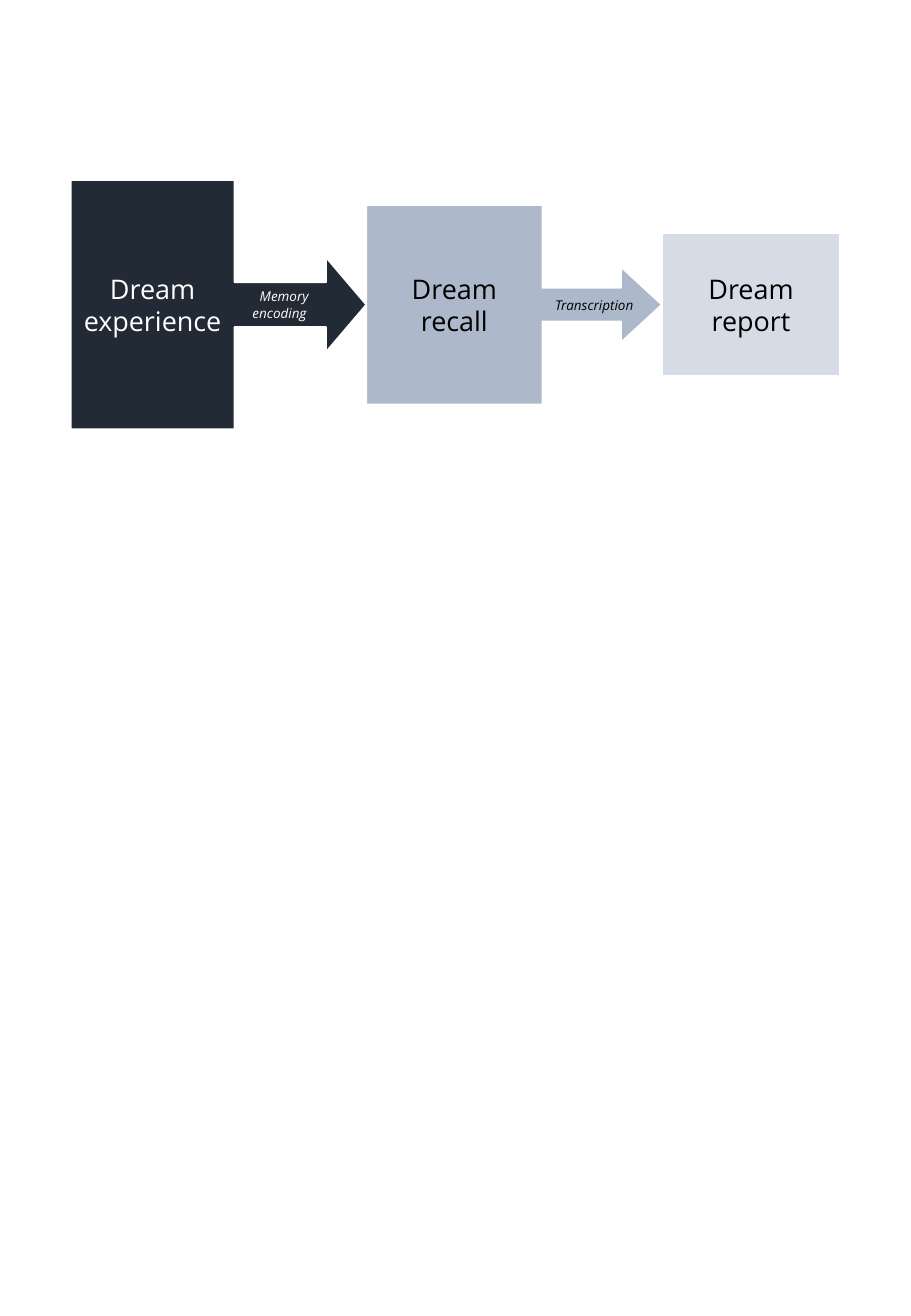
from dataclasses import dataclass

from pptx import Presentation
from pptx import util as u
from pptx.dml.color import RGBColor
from pptx.enum import shapes, text


@dataclass(frozen=True)
class Theme:
    font: str = "Open Sans"
    stage_size: int = 16
    process_size: int = 8
    white: str = "FFFFFF"
    black: str = "000000"
    dark: str = "222A35"
    medium: str = "ADB9CA"
    pale: str = "D6DCE5"


class DreamFlow:
    def __init__(self, slide, theme, center_y):
        self.group = slide.shapes.add_group_shape()
        self.theme = theme
        self.center_y = center_y

    def frame(self, left, width, height):
        return [u.Cm(n) for n in (left, self.center_y - height / 2, width, height)]

    def label(self, frame, lines, aligns, color, **font_format):
        formats = {"word_wrap": True, "vertical_anchor": text.MSO_ANCHOR.MIDDLE}
        for name, value in formats.items():
            setattr(frame, name, value)
        frame.text = "\n".join(lines)
        for paragraph, align in zip(frame.paragraphs, aligns):
            paragraph.alignment = align
            font = paragraph.runs[0].font
            for name, value in {"name": self.theme.font, **font_format}.items():
                setattr(font, name, value)
            font.color.rgb = RGBColor.from_string(color)

    def stage(self, preset, adjustments, caption, left, width, height, fill, color):
        box = self.group.shapes.add_shape(preset, *self.frame(left, width, height))
        box.shadow.inherit = False
        for index, value in enumerate(adjustments):
            box.adjustments[index] = value
        box.fill.solid()
        box.fill.fore_color.rgb = RGBColor.from_string(fill)
        box.line.color.rgb = RGBColor.from_string(self.theme.white)
        box.line.width = u.Pt(1)
        self.label(box.text_frame, [caption], [text.PP_ALIGN.CENTER], color,
                   size=u.Pt(self.theme.stage_size))

    def process(self, lines, left, width, height, color):
        caption = self.group.shapes.add_textbox(*self.frame(left, width, height))
        self.label(caption.text_frame, lines, [text.PP_ALIGN.CENTER, text.PP_ALIGN.LEFT],
                   color, size=u.Pt(self.theme.process_size), italic=True)


presentation = Presentation()
presentation.slide_width = u.Cm(19.05)
presentation.slide_height = u.Cm(27.51)
slide = presentation.slides.add_slide(presentation.slide_layouts[6])

theme = Theme()
flow = DreamFlow(slide, theme, center_y=6.37)
callout = shapes.MSO_SHAPE.RIGHT_ARROW_CALLOUT
rectangle = shapes.MSO_SHAPE.ROUNDED_RECTANGLE
first_left, pitch = 1.48, 6.18

stages = [
    (callout, (0.18, 0.189, 0.161, 0.554), "Dream experience", pitch, 5.21, theme.dark, theme.white),
    (callout, (0.168, 0.189, 0.205, 0.596), "Dream recall", pitch, 4.17, theme.medium, theme.black),
    (rectangle, (0,), "Dream report", 3.73, 2.97, theme.pale, theme.black),
]
for position, (preset, adjustments, caption, *style) in enumerate(stages):
    flow.stage(preset, adjustments, caption, first_left + position * pitch, *style)

flow.process(["Memory", "encoding"], 5.03, 1.83, 0.94, theme.white)
flow.process(["Transcription"], 11.3, 2.26, 0.61, theme.black)

presentation.save("out.pptx")
